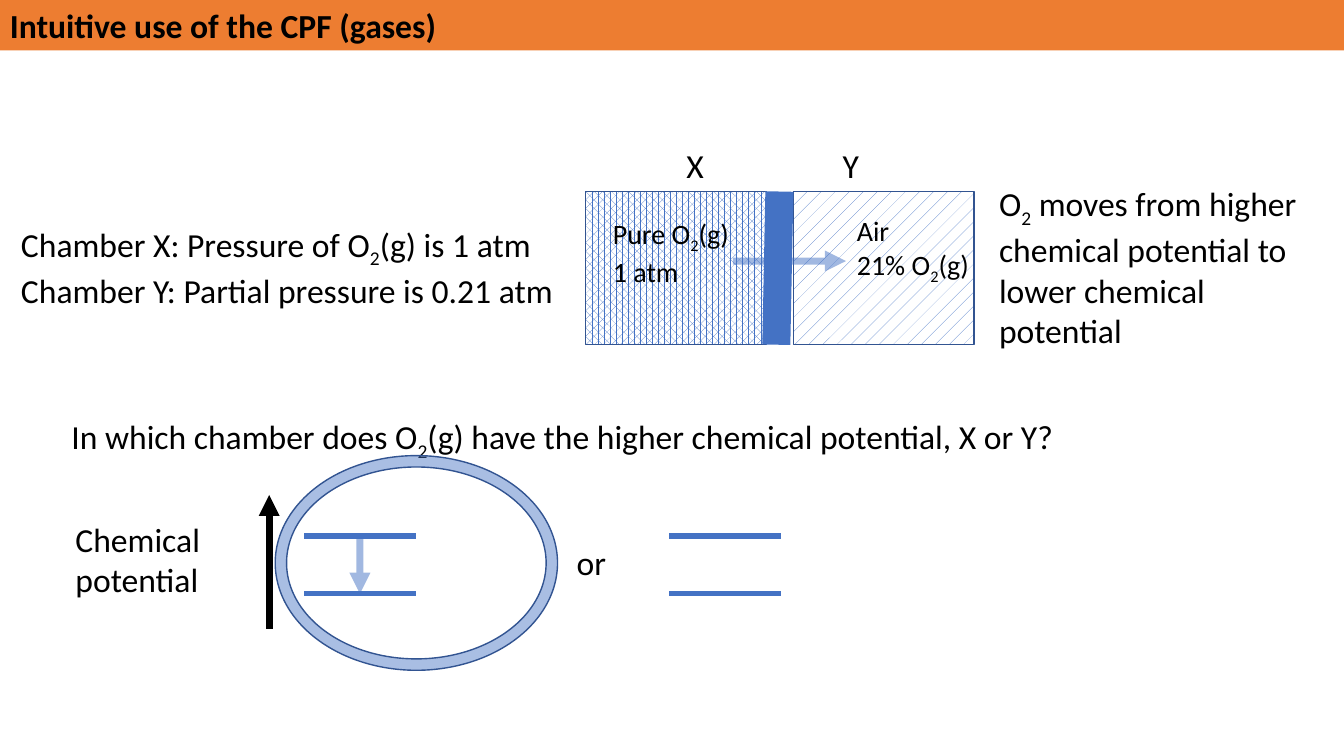
import pptx
import pptx.util
import pptx.dml.color
import pptx.enum.dml
import pptx.enum.shapes
import pptx.enum.text
import pptx.oxml.ns
import lxml.etree

Inches = pptx.util.Inches
SHAPES = pptx.enum.shapes.MSO_SHAPE
PATTERNS = pptx.enum.dml.MSO_PATTERN_TYPE
COLORS = {
    "banner": "ED7D31",
    "text": "000000",
    "blue": "4472C4",
    "outline": "325491",
    "white": "FFFFFF",
}


def color(name):
    """Return the named palette colour."""
    return pptx.dml.color.RGBColor.from_string(COLORS[name])


def add_element(parent, tag, **attributes):
    """Append a DrawingML element with the given attributes."""
    element = lxml.etree.SubElement(parent, pptx.oxml.ns.qn(tag))
    for name, value in attributes.items():
        element.set(name, value)
    return element


def set_alpha(fill_owner, percent):
    """Make the solid colour inside an element partly transparent."""
    solid_color = fill_owner.find(".//" + pptx.oxml.ns.qn("a:srgbClr"))
    add_element(solid_color, "a:alpha", val=str(percent * 1000))


def write_text(text_frame, text, size=24, bold=False):
    """Fill a frame with lines of text; parts between tildes are subscripts."""
    text_frame.word_wrap = True
    text_frame.auto_size = pptx.enum.text.MSO_AUTO_SIZE.SHAPE_TO_FIT_TEXT
    for index, line in enumerate(text.split("\n")):
        paragraph = text_frame.add_paragraph() if index else text_frame.paragraphs[0]
        paragraph.alignment = pptx.enum.text.PP_ALIGN.LEFT
        for part_index, part in enumerate(line.split("~")):
            run = paragraph.add_run()
            run.text = part
            run.font.name = "Calibri"
            run.font.size = pptx.util.Pt(size)
            run.font.bold = bold
            run.font.color.rgb = color("text")
            if part_index % 2:
                run._r.get_or_add_rPr().set("baseline", "-25000")


def add_text(slide, left, top, width, height, text, **text_format):
    """Add a text box."""
    box = slide.shapes.add_textbox(Inches(left), Inches(top), Inches(width), Inches(height))
    write_text(box.text_frame, text, **text_format)


def add_shape(slide, kind, left, top, width, height, outlined=True):
    """Add a preset shape without a shadow."""
    shape = slide.shapes.add_shape(
        kind, Inches(left), Inches(top), Inches(width), Inches(height))
    shape.shadow.inherit = False
    if outlined:
        shape.line.color.rgb = color("outline")
        shape.line.width = pptx.util.Pt(1)
    else:
        shape.line.fill.background()
    return shape


def add_line(slide, start, end, width, line_color="blue", arrow=False, alpha=None):
    """Add a straight line, with an arrowhead at its end if wanted."""
    line = slide.shapes.add_connector(
        pptx.enum.shapes.MSO_CONNECTOR.STRAIGHT, *map(Inches, start + end))
    line.line.color.rgb = color(line_color)
    line.line.width = pptx.util.Pt(width)
    properties = line._element.spPr
    if alpha:
        set_alpha(properties, alpha)
    if arrow:
        add_element(line.line._get_or_add_ln(), "a:tailEnd", type="triangle")
    add_element(properties, "a:effectLst")


def build_banner(slide, left, top, width, height):
    """Build the title banner."""
    banner = add_shape(slide, SHAPES.RECTANGLE, left, top, width, height, outlined=False)
    banner.fill.solid()
    banner.fill.fore_color.rgb = color("banner")
    write_text(banner.text_frame, "Intuitive use of the CPF (gases)", bold=True)


def build_question(slide, left, top):
    """Build the question with its two level diagrams and the circled answer."""
    add_text(slide, left, top, 11.78, 0.5,
             "In which chamber does O~2~(g) have the higher chemical potential, X or Y?")
    upper, lower = top + 1.24, top + 1.81
    for level_left in (left + 2.41, left + 6.03):
        for level in (upper, lower):
            add_line(slide, (level_left, level), (level_left + 1.11, level), 4)
    add_text(slide, left + 0.04, top + 1.02, 1.87, 0.91, "Chemical potential")
    add_text(slide, left + 5.01, top + 1.25, 1.3, 0.5, "or")
    ring = add_shape(slide, SHAPES.DONUT, left + 2.12, top + 0.44, 2.8, 2.13)
    ring.adjustments[0] = 0.053
    ring.fill.solid()
    ring.fill.fore_color.rgb = color("blue")
    set_alpha(ring._element.spPr, 46)
    axis = left + 2.06
    add_line(slide, (axis, top + 2.16), (axis, top + 0.83), 5, "text", arrow=True)
    drop = left + 2.96
    add_line(slide, (drop, upper + 0.02), (drop, lower), 5, arrow=True, alpha=49)


def build_chamber(slide, left, top, width, height, pattern, name, name_offset,
                  contents, contents_offset):
    """Build one patterned gas chamber with its name and contents."""
    chamber = add_shape(slide, SHAPES.RECTANGLE, left, top, width, height)
    chamber.fill.patterned()
    chamber.fill.pattern = pattern
    chamber.fill.fore_color.rgb = color("blue")
    chamber.fill.back_color.rgb = color("white")
    add_text(slide, left + name_offset, top - 0.51, 0.73, 0.5, name)
    across, down = contents_offset
    add_text(slide, left + across, top + down, 1.57, 0.77, contents, size=20)


def build_apparatus(slide, left, top, width, height):
    """Build the two chambers, the membrane between them and the flow arrow."""
    chamber_width = 1.79
    build_chamber(slide, left + width - chamber_width, top, chamber_width, height,
                  PATTERNS.PERCENT_5, "Y", 0.39, "Air\n21% O~2~(g)", (0.53, 0.17))
    build_chamber(slide, left, top, chamber_width, height,
                  PATTERNS.PERCENT_60, "X", 0.9, "Pure O~2~(g)\n1 atm", (0.17, 0.2))
    add_line(slide, (left + 1.92, top), (left + 1.89, top + height), 20)
    flow = top + 0.69
    add_line(slide, (left + 1.46, flow), (left + 2.58, flow), 5, arrow=True, alpha=49)


def main():
    """Build and save the slide."""
    presentation = pptx.Presentation()
    presentation.slide_width = Inches(13.33)
    presentation.slide_height = Inches(7.5)
    slide = presentation.slides.add_slide(presentation.slide_layouts[6])
    build_banner(slide, 0, 0, 13.33, 0.5)
    build_question(slide, 0.61, 4.08)
    build_apparatus(slide, 5.81, 1.9, 3.85, 1.52)
    add_text(slide, 0.11, 2.17, 5.56, 0.91,
             "Chamber X: Pressure of O~2~(g) is 1 atm\nChamber Y: Partial pressure is 0.21 atm")
    add_text(slide, 9.81, 1.77, 3.49, 1.72,
             "O~2~ moves from higher chemical potential to lower chemical potential")
    presentation.save("out.pptx")


if __name__ == "__main__":
    main()
